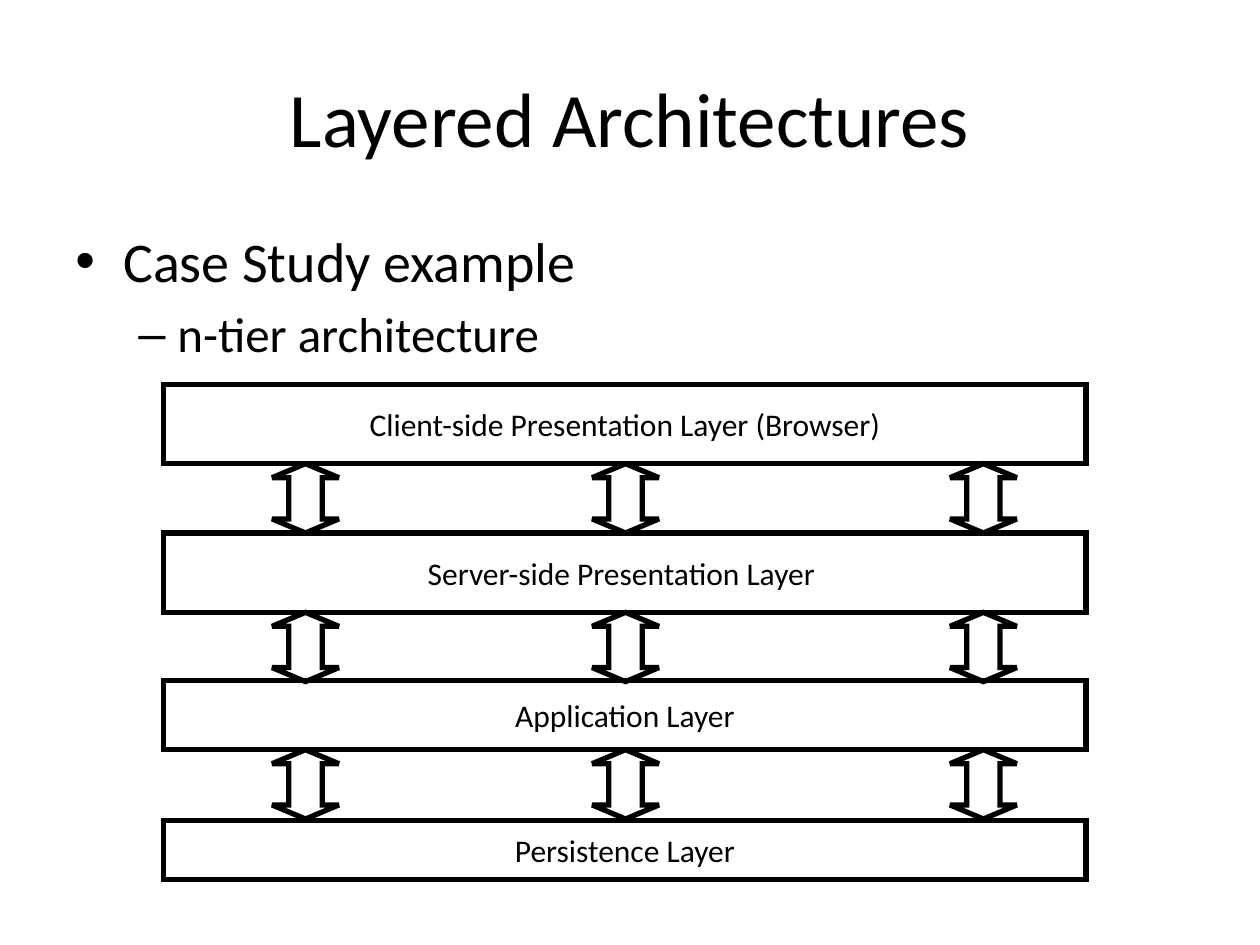
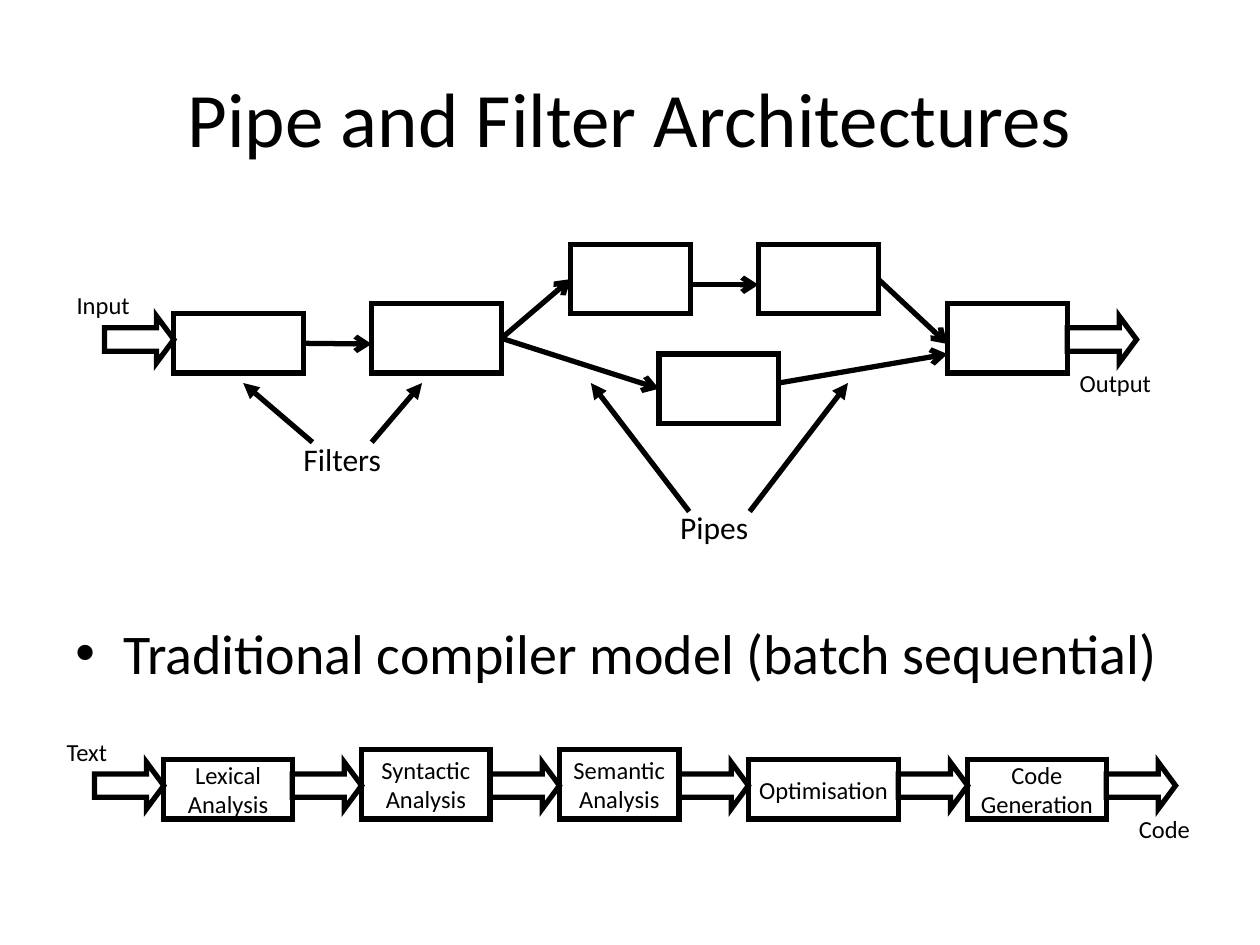
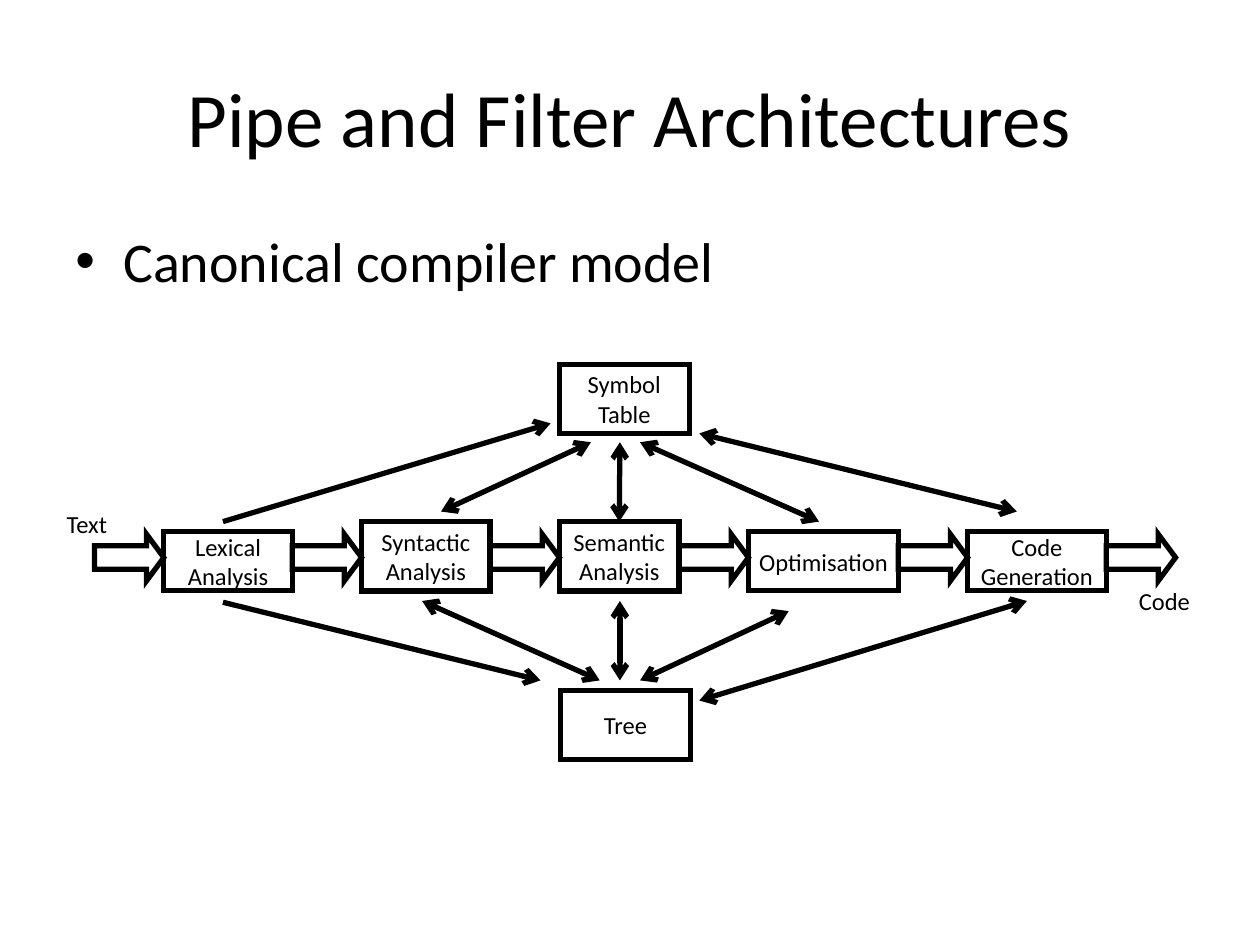
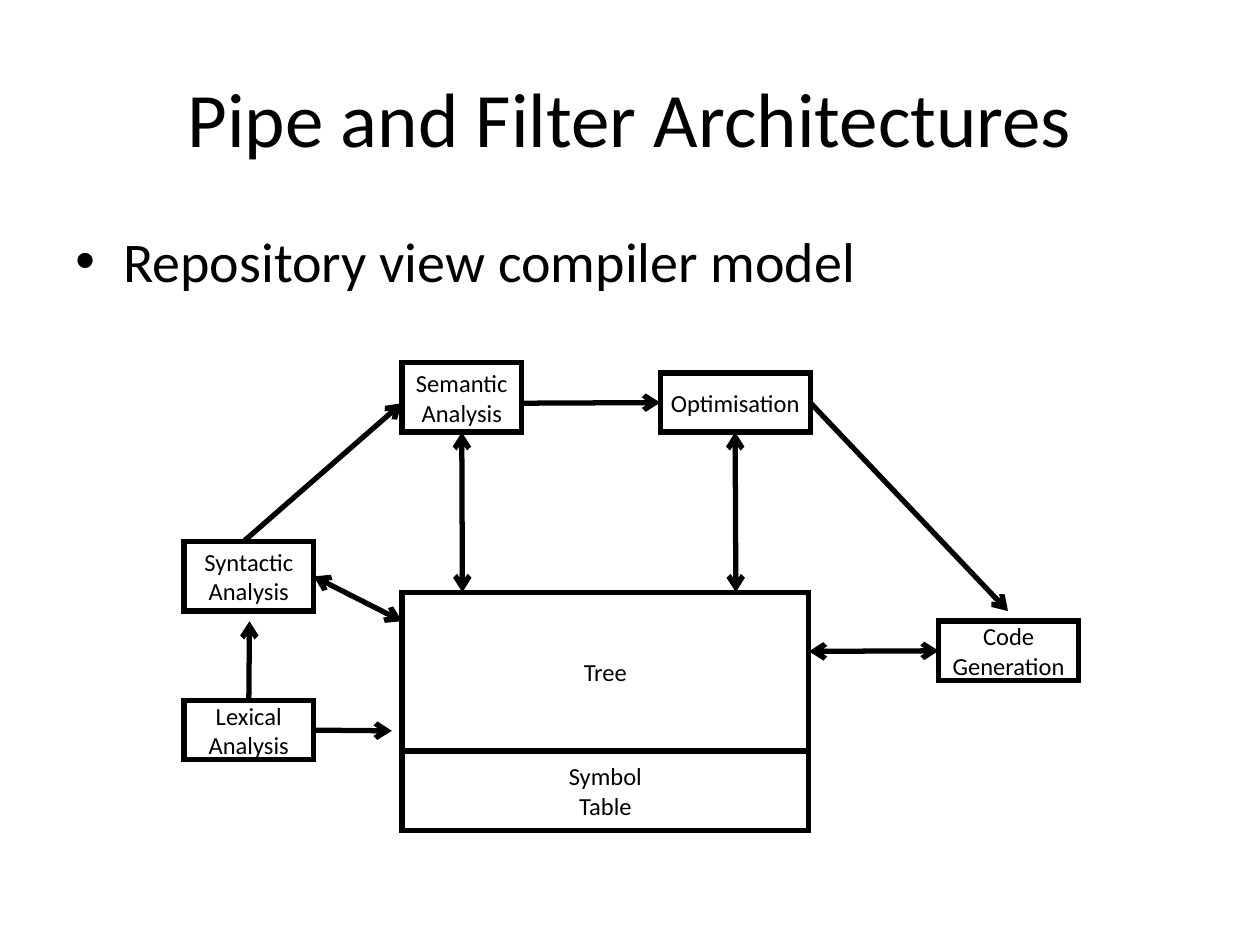
from math import hypot
from pptx import Presentation
from pptx.dml.color import RGBColor
from pptx.enum.shapes import MSO_CONNECTOR as LINK, MSO_SHAPE as SHAPE
from pptx.enum.text import MSO_ANCHOR as ANCHOR, PP_ALIGN as ALIGN
from pptx.oxml.ns import qn
from pptx.util import Inches, Pt
from lxml.etree import SubElement

COLORS = {"ink": "000000", "paper": "FFFFFF"}
FONT = "Calibri"
STROKE = 3
SNAP = 0.04
BODY_TOP = 1.75
BODY_BOTTOM = 6.7

BULLETS = [
    {"mark": "•", "margin": 0.38, "indent": -0.38, "size": 32},
    {"mark": "–", "margin": 0.81, "indent": -0.31, "size": 28},
]

PIPE_TITLE = "Pipe and Filter Architectures"
LEXICAL = "Lexical\nAnalysis"
SYNTACTIC = "Syntactic\nAnalysis"
SEMANTIC = "Semantic\nAnalysis"
OPTIMISATION = "Optimisation"
GENERATION = "Code\nGeneration"
SYMBOLS = "Symbol\nTable"

LAYERS = [
    (3.05, 0.63, "Client-side Presentation Layer (Browser)"),
    (4.23, 0.63, "Server-side Presentation Layer "),
    (5.4, 0.55, "Application Layer"),
    (6.51, 0.47, "Persistence Layer"),
]
LAYER_LEFT, LAYER_WIDTH = 1.3, 7.32
EXCHANGE_LEFTS = [2.16, 4.7, 7.54]
EXCHANGE_SIZE = (0.53, 0.55)

STAGES = [
    (1.02, 0.47, LEXICAL),
    (1.02, 0.55, SYNTACTIC),
    (0.95, 0.55, SEMANTIC),
    (1.19, 0.47, OPTIMISATION),
    (1.1, 0.47, GENERATION),
]
FLOW_LEFT = 0.75
FLOW_SIZE = (0.55, 0.37)

FILTER_NETWORK = {
    "boxes": [
        (1.38, 2.49, 1.03, 0.47, ""),
        (2.95, 2.41, 1.03, 0.55, ""),
        (4.53, 1.94, 0.95, 0.55, ""),
        (6.02, 1.94, 0.95, 0.55, ""),
        (5.23, 2.81, 0.95, 0.55, ""),
        (7.52, 2.41, 0.95, 0.55, ""),
    ],
    "flows": [(0.83, 2.51), (8.47, 2.51)],
    "labels": [
        (0.51, 2.25, 0.63, "Input", 14),
        (8.47, 2.87, 0.78, "Output", 14),
        (2.31, 3.44, 0.88, "Filters", 18),
        (5.3, 3.98, 0.83, "Pipes", 18),
    ],
    "one_way": [
        (2.4, 2.73, 2.95, 2.73),
        (5.47, 2.26, 6.02, 2.26),
        (6.97, 2.18, 7.52, 2.73),
        (3.98, 2.65, 4.53, 2.18),
        (3.98, 2.65, 5.24, 3.12),
        (6.18, 3.04, 7.52, 2.81),
    ],
    "pointers": [
        (2.48, 3.51, 1.93, 3.04),
        (2.95, 3.51, 3.35, 3.04),
        (5.47, 4.06, 4.69, 3.04),
        (5.95, 4.06, 6.73, 3.04),
    ],
}

SHARED_DATA = {
    "boxes": [
        (4.44, 2.89, 1.03, 0.55, SYMBOLS),
        (4.45, 5.48, 1.03, 0.55, "Tree"),
    ],
    "one_way": [
        (1.77, 4.14, 4.37, 3.36),
        (1.77, 4.78, 4.29, 5.4),
    ],
    "two_way": [
        (3.5, 4.06, 4.69, 3.51),
        (4.92, 4.14, 4.92, 3.51),
        (6.5, 4.14, 5.08, 3.51),
        (8.07, 4.06, 5.55, 3.44),
        (4.92, 5.4, 4.92, 4.77),
        (4.76, 5.4, 3.35, 4.77),
        (5.08, 5.4, 6.26, 4.85),
        (5.55, 5.56, 8.15, 4.77),
    ],
}

REPOSITORY = {
    "boxes": [
        (1.46, 5.56, 1.03, 0.47, LEXICAL),
        (1.46, 4.3, 1.03, 0.55, SYNTACTIC),
        (3.19, 2.88, 0.95, 0.55, SEMANTIC),
        (5.24, 2.96, 1.19, 0.47, OPTIMISATION),
        (7.45, 4.93, 1.11, 0.47, GENERATION),
        (3.19, 5.96, 3.23, 0.63, SYMBOLS),
        (3.19, 4.7, 3.23, 1.26, "Tree"),
    ],
    "one_way": [
        (1.98, 5.56, 1.98, 4.93),
        (1.93, 4.3, 3.19, 3.2),
        (4.14, 3.2, 5.24, 3.2),
        (6.42, 3.2, 8, 4.85),
        (2.48, 5.8, 3.11, 5.8),
    ],
    "two_way": [
        (3.67, 4.7, 3.67, 3.44),
        (5.84, 4.7, 5.84, 3.44),
        (3.19, 4.93, 2.48, 4.54),
        (6.42, 5.17, 7.45, 5.17),
    ],
}

SLIDES = [
    {"title": "Layered Architectures",
     "body": [(0, "Case Study example"), (1, "n-tier architecture")],
     "layers": LAYERS},
    {"title": PIPE_TITLE,
     "body": [(0, "Traditional compiler model (batch sequential)")],
     "body_top": 4.86, "chain_bottom": 6.5, "diagram": FILTER_NETWORK},
    {"title": PIPE_TITLE,
     "body": [(0, "Canonical compiler model")],
     "chain_bottom": 4.69, "diagram": SHARED_DATA},
    {"title": PIPE_TITLE,
     "body": [(0, "Repository view compiler model")],
     "diagram": REPOSITORY},
]


def color(name):
    return RGBColor.from_string(COLORS[name])


def write(para, text, size):
    span = para.add_run()
    span.text = text
    span.font.name = FONT
    span.font.size = Pt(size)
    span.font.color.rgb = color("ink")


def write_lines(frame, text, size):
    for index, line in enumerate(text.split("\n")):
        para = frame.add_paragraph() if index else frame.paragraphs[0]
        para.alignment = ALIGN.CENTER
        write(para, line, size)


def add_text_box(page, left, top, width, height, wrap=True):
    box = page.shapes.add_textbox(*map(Inches, (left, top, width, height)))
    box.text_frame.word_wrap = wrap
    return box.text_frame


def add_title(page, text):
    frame = add_text_box(page, 0.5, 0.3, 9, 1.25)
    frame.vertical_anchor = ANCHOR.MIDDLE
    write_lines(frame, text, 44)


def add_body(page, items, top):
    frame = add_text_box(page, 0.5, top, 9, BODY_BOTTOM - top)
    for index, (level, text) in enumerate(items):
        style = BULLETS[level]
        para = frame.add_paragraph() if index else frame.paragraphs[0]
        para.level = level
        props = para._p.get_or_add_pPr()
        props.set("marL", str(Inches(style["margin"])))
        props.set("indent", str(Inches(style["indent"])))
        SubElement(props, qn("a:buFont")).set("typeface", "Arial")
        SubElement(props, qn("a:buChar")).set("char", style["mark"])
        if index:
            para.space_before = Pt(style["size"] * 0.2)
        write(para, text, style["size"])


def add_label(page, left, top, width, text, size):
    frame = add_text_box(page, left, top, width, 0.33 if size == 14 else 0.4, False)
    write(frame.paragraphs[0], text, size)


def add_outline(page, kind, left, top, width, height):
    shape = page.shapes.add_shape(kind, *map(Inches, (left, top, width, height)))
    shape.shadow.inherit = False
    shape.fill.background()
    shape.line.color.rgb = color("ink")
    shape.line.width = Pt(STROKE)
    outline = shape._element.spPr.find(qn("a:ln"))
    SubElement(outline, qn("a:miter")).set("lim", "800000")
    return shape


def add_box(page, left, top, width, height, text, size=14):
    box = add_outline(page, SHAPE.RECTANGLE, left, top, width, height)
    if text:
        frame = box.text_frame
        frame.word_wrap = False
        frame.vertical_anchor = ANCHOR.MIDDLE
        write_lines(frame, text, size)
    return box


def add_block_arrow(page, kind, left, top, size, head):
    arrow = add_outline(page, kind, left, top, *size)
    geometry = arrow._element.spPr.find(qn("a:prstGeom"))
    guides = geometry.find(qn("a:avLst"))
    for guide in list(guides):
        guides.remove(guide)
    for name, share in (("adj1", 0.5), ("adj2", head)):
        guide = SubElement(guides, qn("a:gd"))
        guide.set("name", name)
        guide.set("fmla", f"val {round(share * 100000)}")


def add_flow(page, left, top):
    add_block_arrow(page, SHAPE.RIGHT_ARROW, left, top, FLOW_SIZE, 0.37)


def add_layers(page, layers):
    for top, height, text in layers:
        add_box(page, LAYER_LEFT, top, LAYER_WIDTH, height, text, 18)
    for top, height, _ in layers[:-1]:
        for left in EXCHANGE_LEFTS:
            add_block_arrow(page, SHAPE.UP_DOWN_ARROW, left, top + height,
                            EXCHANGE_SIZE, 0.21)


def add_chain(page, bottom):
    boxes = []
    flow_top = bottom - 0.45
    left = FLOW_LEFT
    for width, height, text in STAGES:
        add_flow(page, left, flow_top)
        left += FLOW_SIZE[0]
        boxes.append(add_box(page, left, bottom - height, width, height, text))
        left += width
    add_flow(page, left, flow_top)
    add_label(page, 0.43, bottom - 0.7, 0.58, "Text", 14)
    add_label(page, 8.94, bottom - 0.09, 0.66, "Code", 14)
    return boxes


def find_side(boxes, x, y):
    for box in boxes:
        left, top = box.left.inches, box.top.inches
        width, height = box.width.inches, box.height.inches
        middles = [(left + width / 2, top), (left, top + height / 2),
                   (left + width / 2, top + height), (left + width, top + height / 2)]
        for side, (side_x, side_y) in enumerate(middles):
            if hypot(side_x - x, side_y - y) < SNAP:
                return box, side
    return None


def add_arrow(page, boxes, ends, head="arrow", both=False):
    link = page.shapes.add_connector(LINK.STRAIGHT, *map(Inches, ends))
    link.line.color.rgb = color("ink")
    link.line.width = Pt(STROKE)
    props = link._element.spPr
    outline = props.find(qn("a:ln"))
    for tag in ("a:headEnd", "a:tailEnd") if both else ("a:tailEnd",):
        SubElement(outline, qn(tag)).set("type", head)
    SubElement(props, qn("a:effectLst"))
    for join, point in ((link.begin_connect, ends[:2]), (link.end_connect, ends[2:])):
        target = find_side(boxes, *point)
        if target:
            join(*target)


def add_diagram(page, diagram, boxes):
    boxes = boxes + [add_box(page, *item) for item in diagram["boxes"]]
    for place in diagram.get("flows", []):
        add_flow(page, *place)
    for label in diagram.get("labels", []):
        add_label(page, *label)
    for ends in diagram["one_way"]:
        add_arrow(page, boxes, ends)
    for ends in diagram.get("two_way", []):
        add_arrow(page, boxes, ends, both=True)
    for ends in diagram.get("pointers", []):
        add_arrow(page, boxes, ends, head="triangle")


def main():
    deck = Presentation()
    deck.slide_width, deck.slide_height = Inches(10), Inches(7.5)
    for content in SLIDES:
        page = deck.slides.add_slide(deck.slide_layouts[6])
        page.background.fill.solid()
        page.background.fill.fore_color.rgb = color("paper")
        add_title(page, content["title"])
        add_body(page, content["body"], content.get("body_top", BODY_TOP))
        add_layers(page, content.get("layers", []))
        stages = add_chain(page, content["chain_bottom"]) if "chain_bottom" in content else []
        if "diagram" in content:
            add_diagram(page, content["diagram"], stages)
    deck.save("out.pptx")


if __name__ == "__main__":
    main()
